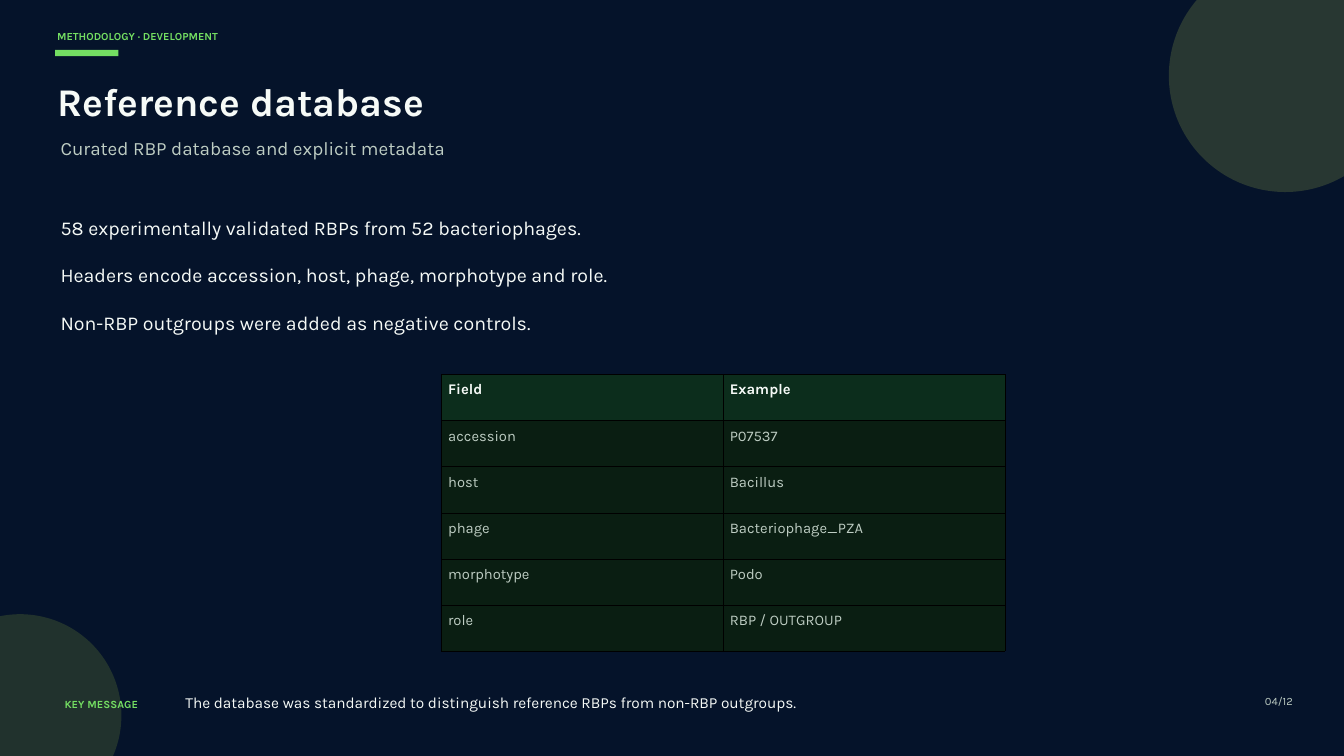
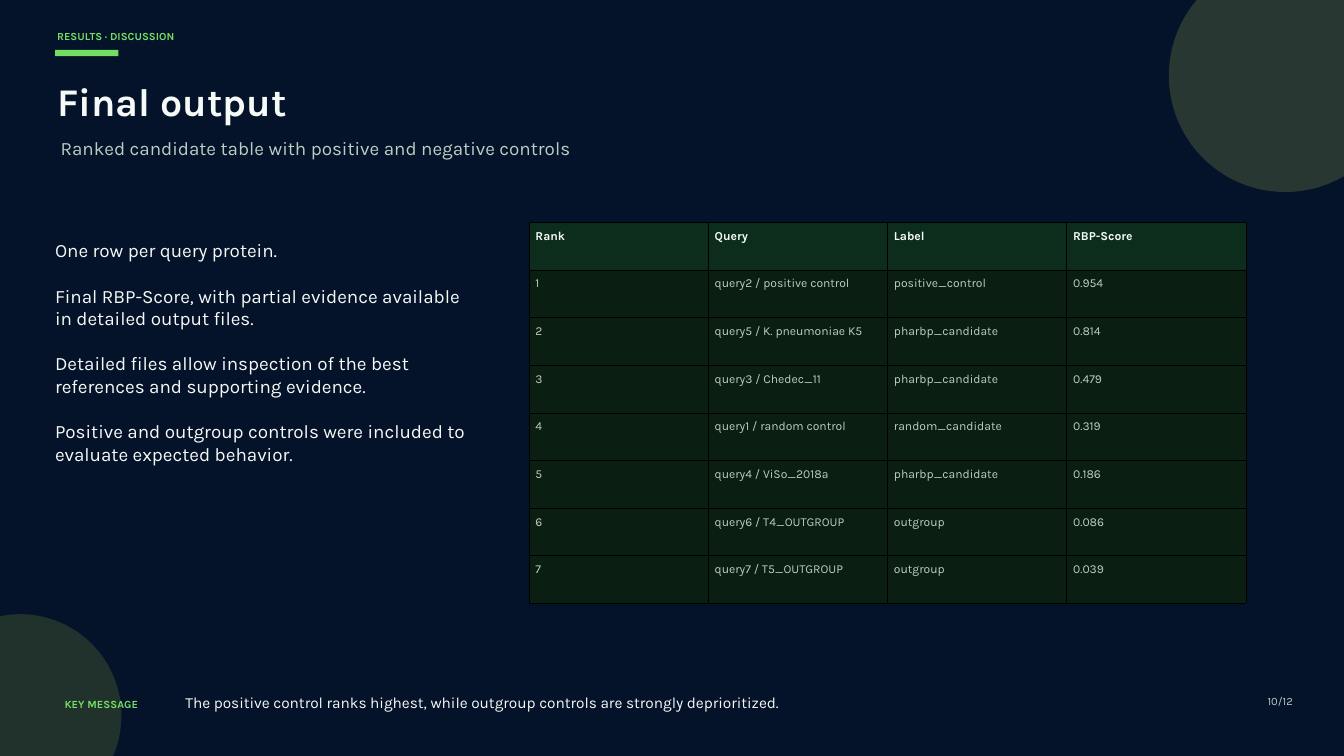
import pptx
import pptx.dml.color
import pptx.enum.shapes
import pptx.enum.text
import pptx.oxml
import pptx.oxml.ns
import pptx.util

Cm = pptx.util.Cm
Pt = pptx.util.Pt
RGBColor = pptx.dml.color.RGBColor
Shape = pptx.enum.shapes.MSO_SHAPE
Align = pptx.enum.text.PP_ALIGN

NAVY = RGBColor(0x05, 0x13, 0x2A)
LIME = RGBColor(0x74, 0xDE, 0x62)
WHITE = RGBColor(0xF6, 0xFA, 0xF7)
GREY = RGBColor(0xBE, 0xCD, 0xC3)
MOSS = RGBColor(0x28, 0x37, 0x32)
FERN = RGBColor(0x21, 0x32, 0x2D)
HEAD = RGBColor(0x0C, 0x2D, 0x1C)
CELL = RGBColor(0x0A, 0x1E, 0x12)
BLACK = RGBColor(0, 0, 0)
FONT = "Karla"
LEAD = 1.2


def write(frame, text, size=20, color=WHITE, bold=False, align=Align.LEFT):
    frame.word_wrap = True
    lead = Pt(round(size * LEAD, 1))
    for i, line in enumerate(text.split("\n")):
        para = frame.paragraphs[0] if i == 0 else frame.add_paragraph()
        para.alignment = align
        para.line_spacing = lead
        if i:
            para.space_before = lead
        run = para.add_run()
        run.text = line
        font = run.font
        font.name, font.size, font.bold = FONT, Pt(size), bold
        font.color.rgb = color


class Deck:
    """Hold the deck's style and current slide, and draw its elements."""

    def __init__(self):
        self.file = pptx.Presentation()
        self.file.slide_width = Cm(50.8)
        self.file.slide_height = Cm(28.58)
        self.slide = None

    def shape(self, kind, left, top, width, height, color):
        item = self.slide.shapes.add_shape(
            kind, Cm(left), Cm(top), Cm(width), Cm(height))
        item.shadow.inherit = False
        item.fill.solid()
        item.fill.fore_color.rgb = color
        item.line.fill.background()

    def text(self, left, top, width, height, text, **style):
        box = self.slide.shapes.add_textbox(
            Cm(left), Cm(top), Cm(width), Cm(height))
        frame = box.text_frame
        frame.margin_left = frame.margin_right = 0
        frame.margin_top = frame.margin_bottom = 0
        write(frame, text, **style)

    def border(self, cell):
        props = cell._tc.get_or_add_tcPr()
        space = pptx.oxml.ns.nsdecls("a")
        for side in "LRTB":
            props.append(pptx.oxml.parse_xml(
                f'<a:ln{side} {space} w="{Pt(0.37)}"><a:solidFill>'
                f'<a:srgbClr val="{BLACK}"/></a:solidFill></a:ln{side}>'))

    def table(self, left, top, width, height, rows, size):
        grid = self.slide.shapes.add_table(
            len(rows), len(rows[0]), Cm(left), Cm(top), Cm(width), Cm(height)).table
        grid.horz_banding = False
        for r, row in enumerate(rows):
            for c, text in enumerate(row):
                cell = grid.cell(r, c)
                cell.margin_left = cell.margin_right = Cm(0.25)
                cell.margin_top = cell.margin_bottom = Cm(0.25)
                self.border(cell)
                cell.fill.solid()
                cell.fill.fore_color.rgb = CELL if r else HEAD
                write(cell.text_frame, text, size=size,
                      color=GREY if r else WHITE, bold=r == 0)

    def page(self, topic, title, lead, key, number):
        self.slide = self.file.slides.add_slide(self.file.slide_layouts[6])
        back = self.slide.background.fill
        back.solid()
        back.fore_color.rgb = NAVY
        self.shape(Shape.OVAL, 44.18, -1.54, 8.8, 8.8, MOSS)
        self.shape(Shape.OVAL, -3.07, 23.22, 7.66, 7.66, FERN)
        self.shape(Shape.RECTANGLE, 2.08, 1.89, 2.4, 0.23, LIME)
        self.text(2.16, 1.12, 17, 0.66, topic, size=11.6, color=LIME, bold=True)
        self.text(2.16, 2.92, 41, 2.11, title, size=42, bold=True)
        self.text(2.29, 5.16, 42.52, 0.85, lead, size=20.2, color=GREY)
        self.text(2.44, 26.39, 5.38, 0.61, "KEY MESSAGE",
                  size=11.7, color=LIME, bold=True)
        self.text(7.01, 26.19, 40.61, 0.69, key, size=16.5)
        self.text(46.36, 26.26, 2.51, 0.58, f"{number:02}/12",
                  size=12, color=GREY, align=Align.RIGHT)


def main():
    deck = Deck()

    deck.page("METHODOLOGY · DEVELOPMENT", "Reference database",
              "Curated RBP database and explicit metadata",
              "The database was standardized to distinguish reference RBPs "
              "from non-RBP outgroups.", 4)
    deck.text(2.29, 8.18, 34.24, 4.39,
              "58 experimentally validated RBPs from 52 bacteriophages.\n"
              "Headers encode accession, host, phage, morphotype and role.\n"
              "Non-RBP outgroups were added as negative controls.", size=21)
    fields = [
        ("Field", "Example"),
        ("accession", "P07537"),
        ("host", "Bacillus"),
        ("phage", "Bacteriophage_PZA"),
        ("morphotype", "Podo"),
        ("role", "RBP / OUTGROUP"),
    ]
    deck.table(16.69, 14.15, 21.29, 10.47, fields, 15.8)

    deck.page("RESULTS · DISCUSSION", "Final output",
              "Ranked candidate table with positive and negative controls",
              "The positive control ranks highest, while outgroup controls "
              "are strongly deprioritized.", 10)
    deck.text(2.08, 9.04, 15.8, 8.46,
              "One row per query protein.\n"
              "Final RBP-Score, with partial evidence available "
              "in detailed output files.\n"
              "Detailed files allow inspection of the best references "
              "and supporting evidence.\n"
              "Positive and outgroup controls were included "
              "to evaluate expected behavior.", size=20.2)
    ranks = [
        ("Rank", "Query", "Label", "RBP-Score"),
        ("1", "query2 / positive control", "positive_control", "0.954"),
        ("2", "query5 / K. pneumoniae K5", "pharbp_candidate", "0.814"),
        ("3", "query3 / Chedec_11", "pharbp_candidate", "0.479"),
        ("4", "query1 / random control", "random_candidate", "0.319"),
        ("5", "query4 / ViSo_2018a", "pharbp_candidate", "0.186"),
        ("6", "query6 / T4_OUTGROUP", "outgroup", "0.086"),
        ("7", "query7 / T5_OUTGROUP", "outgroup", "0.039"),
    ]
    deck.table(19.99, 8.4, 27.1, 14.4, ranks, 13)

    deck.file.save("out.pptx")


if __name__ == "__main__":
    main()
